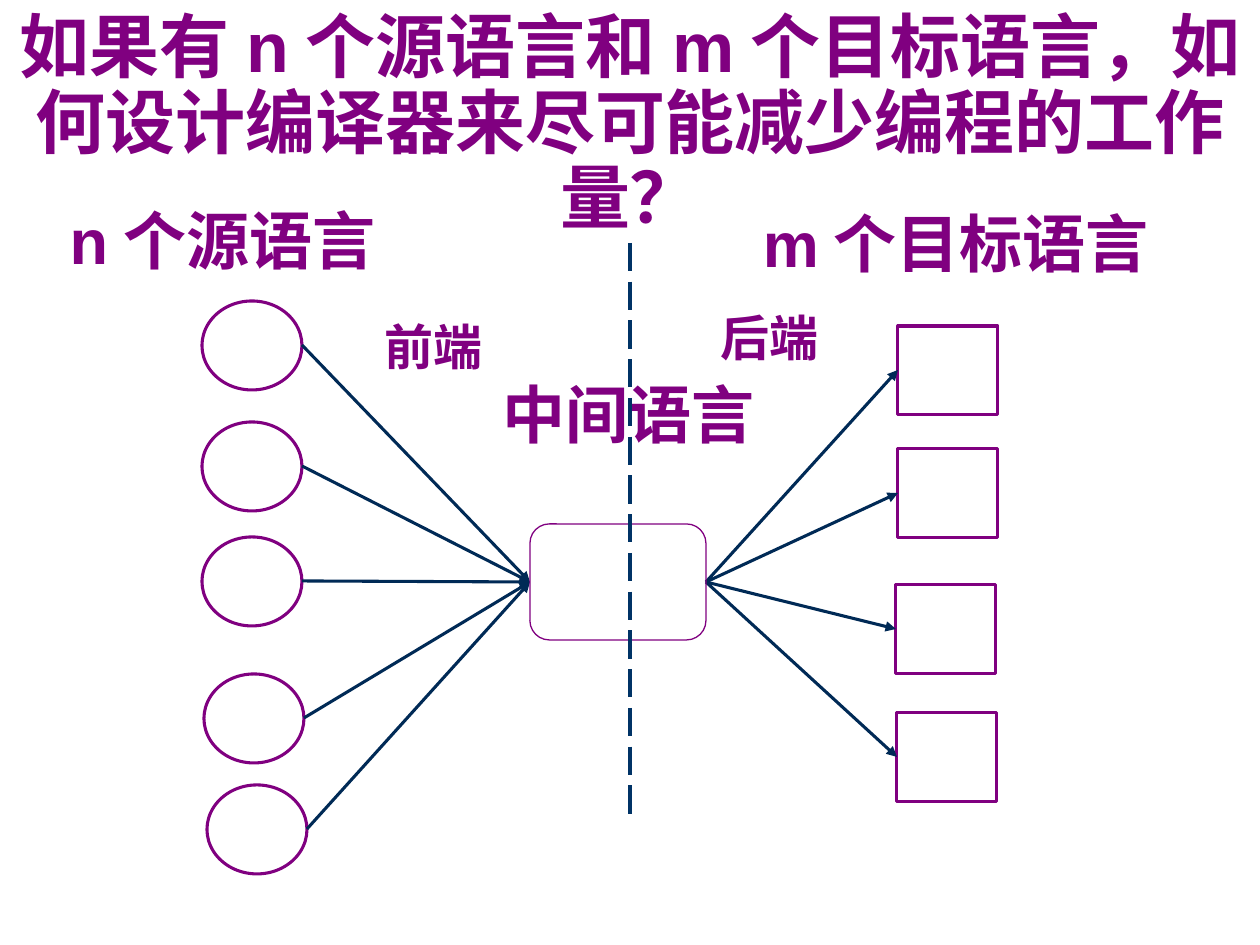
import pptx
import pptx.util
import pptx.dml.color
import pptx.enum.dml
import pptx.enum.shapes
import pptx.enum.text
import pptx.oxml
import pptx.oxml.ns

SCALE = 914400 // 126
COLORS = {"purple": "800080", "arrow": "002A56", "divider": "003366", "white": "FFFFFF"}
FONT = "Arial"
NODE_WIDTH, NODE_HEIGHT = 100, 89
SOURCES = [(202, 301), (202, 422), (202, 537), (204, 674), (207, 785)]
TARGETS = [(898, 326), (898, 449), (896, 585), (897, 713)]
HUB = (530, 524, 176, 116)
LABELS = [
    ("n个源语言", (35, 195, 375, 89), 36),
    ("m个目标语言", (748, 198, 416, 89), 36),
    ("中间语言", (476, 369, 305, 89), 36),
    ("前端", (364, 310, 139, 72), 28),
    ("后端", (683, 301, 173, 72), 28),
]


def px(value):
    return pptx.util.Emu(value * SCALE)


def color(name):
    return pptx.dml.color.RGBColor.from_string(COLORS[name])


def add_element(parent, tag, **attributes):
    element = pptx.oxml.parse_xml(f"<a:{tag} {pptx.oxml.ns.nsdecls('a')}/>")
    for name, value in attributes.items():
        element.set(name, value)
    parent.append(element)


def write_text(box, text, size):
    frame = box.text_frame
    frame.word_wrap = True
    frame.auto_size = pptx.enum.text.MSO_AUTO_SIZE.SHAPE_TO_FIT_TEXT
    frame.vertical_anchor = pptx.enum.text.MSO_ANCHOR.TOP
    para = frame.paragraphs[0]
    para.alignment = pptx.enum.text.PP_ALIGN.CENTER
    span = para.add_run()
    span.text = text
    span.font.name = FONT
    span.font.size = pptx.util.Pt(size)
    span.font.bold = True
    span.font.color.rgb = color("purple")
    add_element(span.font._element, "ea", typeface=FONT)
    return para


def add_title(page, text):
    title = page.shapes.title
    title.left, title.top, title.width, title.height = map(px, (0, 6, 1260, 168))
    title.fill.solid()
    title.fill.fore_color.rgb = color("white")
    para = write_text(title, text, 40)
    para.line_spacing = 0.9


def add_label(page, text, bounds, size):
    box = page.shapes.add_textbox(*map(px, bounds))
    write_text(box, text, size)


def add_outline(page, kind, bounds, weight=1.75):
    shape = page.shapes.add_shape(kind, *map(px, bounds))
    shape.shadow.inherit = False
    shape.fill.background()
    shape.line.color.rgb = color("purple")
    shape.line.width = pptx.util.Pt(weight)


def add_line(page, start, end, line_color, weight):
    connector = page.shapes.add_connector(
        pptx.enum.shapes.MSO_CONNECTOR.STRAIGHT, *map(px, (*start, *end))
    )
    connector.line.color.rgb = color(line_color)
    connector.line.width = pptx.util.Pt(weight)
    add_element(connector._element.spPr, "effectLst")
    return connector


def add_arrow(page, start, end):
    arrow = add_line(page, start, end, "arrow", 1.75)
    add_element(arrow.line._get_or_add_ln(), "tailEnd", type="triangle")


def main():
    deck = pptx.Presentation()
    deck.slide_width, deck.slide_height = px(1260), px(945)
    page = deck.slides.add_slide(deck.slide_layouts[5])
    kinds = pptx.enum.shapes.MSO_SHAPE

    add_title(page, "如果有n个源语言和m个目标语言，如何设计编译器来尽可能减少编程的工作量？")

    hub_left, hub_top, hub_width, hub_height = HUB
    hub_middle = hub_top + hub_height // 2
    for left, top in SOURCES:
        add_outline(page, kinds.OVAL, (left, top, NODE_WIDTH, NODE_HEIGHT))
        add_arrow(page, (left + NODE_WIDTH, top + NODE_HEIGHT // 2), (hub_left, hub_middle))
    for left, top in TARGETS:
        add_outline(page, kinds.RECTANGLE, (left, top, NODE_WIDTH, NODE_HEIGHT))
        add_arrow(page, (hub_left + hub_width, hub_middle), (left, top + NODE_HEIGHT // 2))
    add_outline(page, kinds.ROUNDED_RECTANGLE, HUB, 0.75)

    for text, bounds, size in LABELS:
        add_label(page, text, bounds, size)

    divider = add_line(page, (630, 243), (630, 824), "divider", 2)
    divider.line.dash_style = pptx.enum.dml.MSO_LINE.LONG_DASH

    deck.save("out.pptx")


if __name__ == "__main__":
    main()
